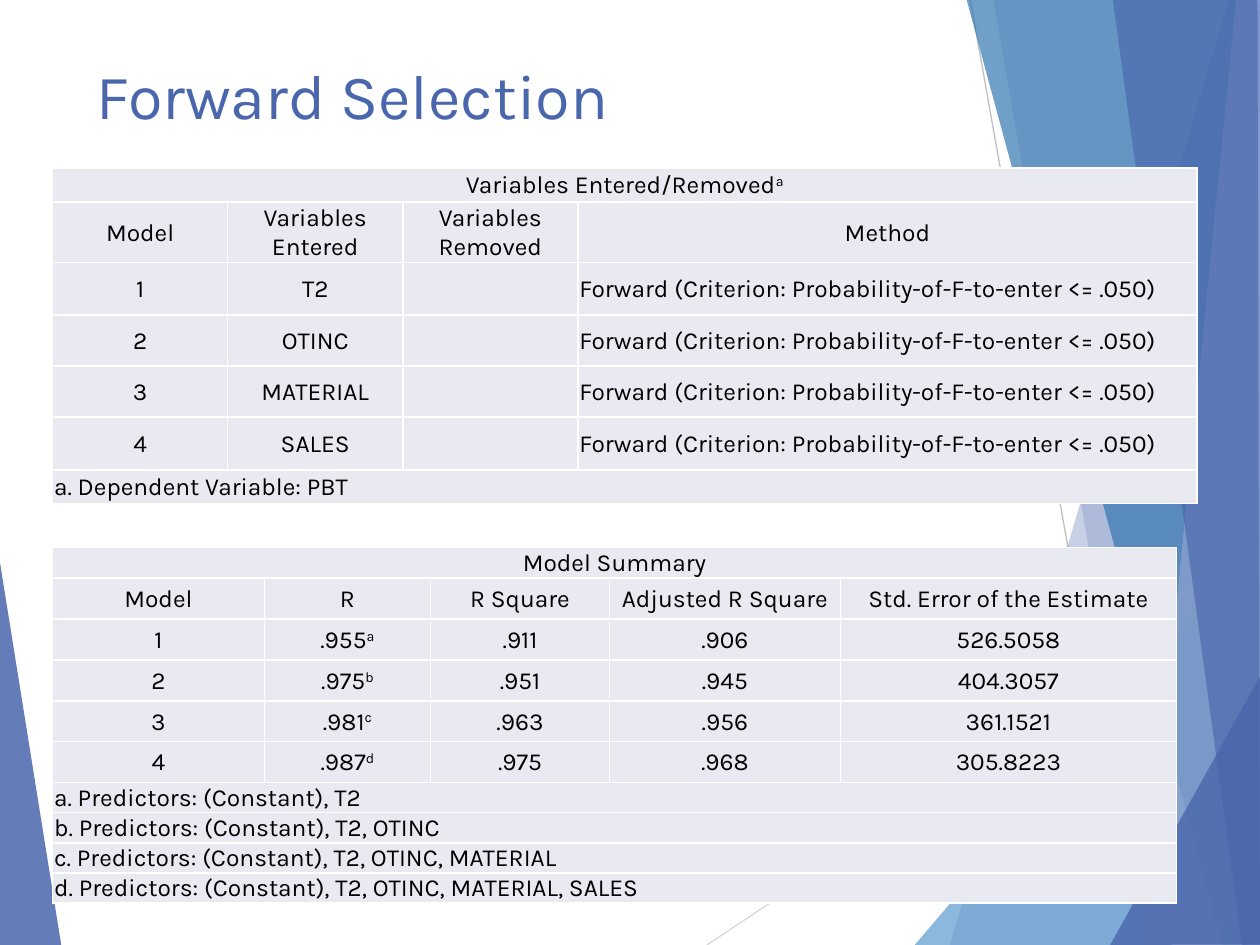
from dataclasses import dataclass

from lxml.etree import SubElement
from pptx import Presentation
from pptx.dml.color import RGBColor
from pptx.enum.shapes import MSO_CONNECTOR
from pptx.enum.text import MSO_ANCHOR, PP_ALIGN
from pptx.oxml.ns import qn
from pptx.util import Cm, Pt


@dataclass(frozen=True)
class Theme:
    font: str = "Karla"
    title_size: int = 36
    table_size: int = 14
    blue: str = "4A66AC"
    sky: str = "629DD1"
    ocean: str = "3477B2"
    mist: str = "90A2CF"
    ink: str = "000000"
    cell: str = "E9EAF1"
    rule: str = "FFFFFF"
    light_line: str = "D9D9D9"
    mid_line: str = "BFBFBF"


theme = Theme()


def write(frame, text, size=theme.table_size, color=theme.ink, align=PP_ALIGN.CENTER):
    """Fill a text frame; whatever follows ^ is raised."""
    para = frame.paragraphs[0]
    para.alignment = align
    base, _, raised = text.partition("^")
    for part in filter(None, (base, raised)):
        span = para.add_run()
        span.text = part
        span.font.name = theme.font
        span.font.size = Pt(size)
        span.font.color.rgb = RGBColor.from_string(color)
    if raised:
        span.font._element.set("baseline", "30000")


def add_grid(page, left, top, widths, heights, rows):
    """Add a table; a row of one text spans all columns, left-aligned below the first."""
    grid = page.shapes.add_table(len(rows), len(widths), Cm(left), Cm(top),
                                 Cm(sum(widths)), Cm(sum(heights))).table
    for column, width in zip(grid.columns, widths):
        column.width = Cm(width)
    for index, (texts, height) in enumerate(zip(rows, heights)):
        grid.rows[index].height = Cm(height)
        if len(texts) == 1:
            grid.cell(index, 0).merge(grid.cell(index, len(widths) - 1))
        for column in range(len(widths)):
            cell = grid.cell(index, column)
            cell.margin_left = cell.margin_right = cell.margin_top = Cm(0.03)
            cell.margin_bottom = 0
            cell.vertical_anchor = MSO_ANCHOR.MIDDLE
            # Borders come before the fill in the cell properties
            properties = cell._tc.get_or_add_tcPr()
            for side in ("a:lnL", "a:lnR", "a:lnT", "a:lnB"):
                border = SubElement(properties, qn(side), w=str(Pt(1)))
                paint = SubElement(border, qn("a:solidFill"))
                SubElement(paint, qn("a:srgbClr"), val=theme.rule)
            cell.fill.solid()
            cell.fill.fore_color.rgb = RGBColor.from_string(theme.cell)
            if column < len(texts):
                text = texts[column]
                is_note = len(texts) == 1 and index > 0
                is_method = text.startswith("Forward")
                write(cell.text_frame, text,
                      align=PP_ALIGN.LEFT if is_note or is_method else PP_ALIGN.CENTER)


deck = Presentation()
deck.slide_width, deck.slide_height = Cm(25.4), Cm(19.05)
page = deck.slides.add_slide(deck.slide_layouts[5])

# Background facets: colour, opacity in percent, corners in hundredths of a centimetre
facets = [
    (theme.blue, 85, [(-3, 1115), (124, 1908), (-3, 1905)]),
    (theme.blue, 30, [(2477, 0), (1915, 1905), (2545, 1908), (2543, 3)]),
    (theme.blue, 20, [(2002, -3), (2334, 1905), (2543, 1905), (2543, -3)]),
    (theme.sky, 72, [(1844, 1905), (2540, 1090), (2543, 1905)]),
    (theme.ocean, 70, [(1948, -3), (2464, 1905), (2543, 1902), (2543, -3)]),
    (theme.mist, 70, [(2492, -3), (2304, 1905), (2543, 1905), (2540, -3)]),
    (theme.blue, 65, [(2243, -3), (2504, 1905), (2540, 1905), (2535, -3)]),
    (theme.blue, 80, [(2238, 1905), (2543, 1359), (2543, 1904)]),
]
hairlines = [
    (theme.light_line, (14.25, 19.05, 25.43, 11.61)),
    (theme.mid_line, (19.56, 0, 22.96, 19.05)),
]

# Hairlines lie behind the facets
for color, ends in hairlines:
    line = page.shapes.add_connector(MSO_CONNECTOR.STRAIGHT, *map(Cm, ends))
    line.line.color.rgb = RGBColor.from_string(color)
    line.line.width = Pt(0.75)
    SubElement(line._element.spPr, qn("a:effectLst"))

for color, opacity, corners in facets:
    builder = page.shapes.build_freeform(*corners[0], scale=Cm(0.01))
    builder.add_line_segments(corners[1:], close=True)
    facet = builder.convert_to_shape()
    facet.shadow.inherit = False
    facet.line.fill.background()
    facet.fill.solid()
    facet.fill.fore_color.rgb = RGBColor.from_string(color)
    shade = facet._element.spPr.find(qn("a:solidFill"))[0]
    SubElement(shade, qn("a:alpha"), val=str(opacity * 1000))

# Title
title = page.shapes.title
title.left, title.top, title.width, title.height = Cm(1.7), Cm(0.84), Cm(17.63), Cm(2.11)
title.text_frame.vertical_anchor = MSO_ANCHOR.MIDDLE
write(title.text_frame, "Forward Selection", size=theme.title_size,
      color=theme.blue, align=PP_ALIGN.LEFT)

# Variables entered at each step
method = "Forward (Criterion: Probability-of-F-to-enter <= .050)"
variables = ["T2", "OTINC", "MATERIAL", "SALES"]
entered = [
    ["Variables Entered/Removed^a"],
    ["Model", "Variables Entered", "Variables Removed", "Method"],
    *([str(step), name, "", method] for step, name in enumerate(variables, 1)),
    ["a. Dependent Variable: PBT"],
]
add_grid(page, 1.06, 3.39, [3.53, 3.53, 3.53, 12.48],
         [0.68, 1.22, 1.06, 1.03, 1.03, 1.06, 0.68], entered)

# Model summary, with the predictors of each model as notes
summary = [
    ["Model Summary"],
    ["Model", "R", "R Square", "Adjusted R Square", "Std. Error of the Estimate"],
    ["1", ".955^a", ".911", ".906", "526.5058"],
    ["2", ".975^b", ".951", ".945", "404.3057"],
    ["3", ".981^c", ".963", ".956", "361.1521"],
    ["4", ".987^d", ".975", ".968", "305.8223"],
    *([f"{letter}. Predictors: (Constant), {', '.join(variables[:count])}"]
      for count, letter in enumerate("abcd", 1)),
]
add_grid(page, 1.06, 11.04, [4.27, 3.35, 3.61, 4.65, 6.78],
         [0.6] + [0.83, 0.83, 0.82, 0.82, 0.83] + [0.6] * 4, summary)

deck.save("out.pptx")
